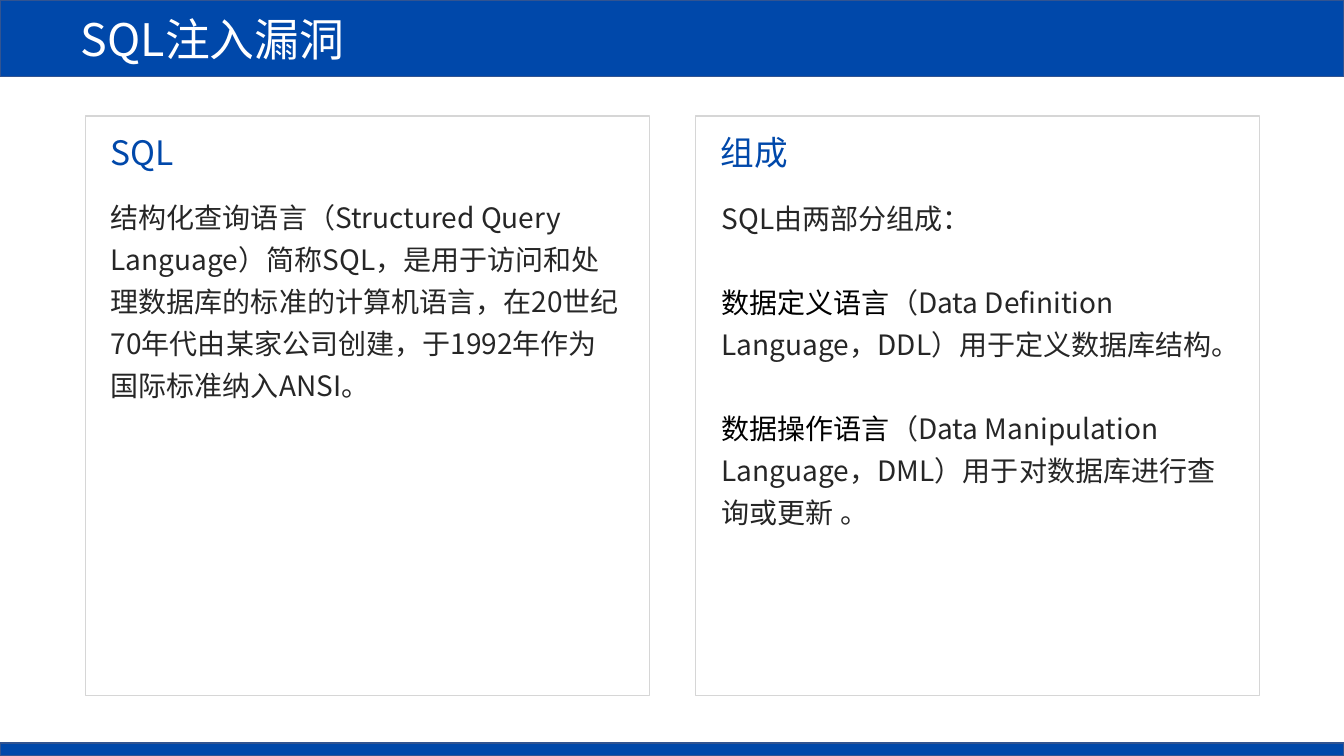
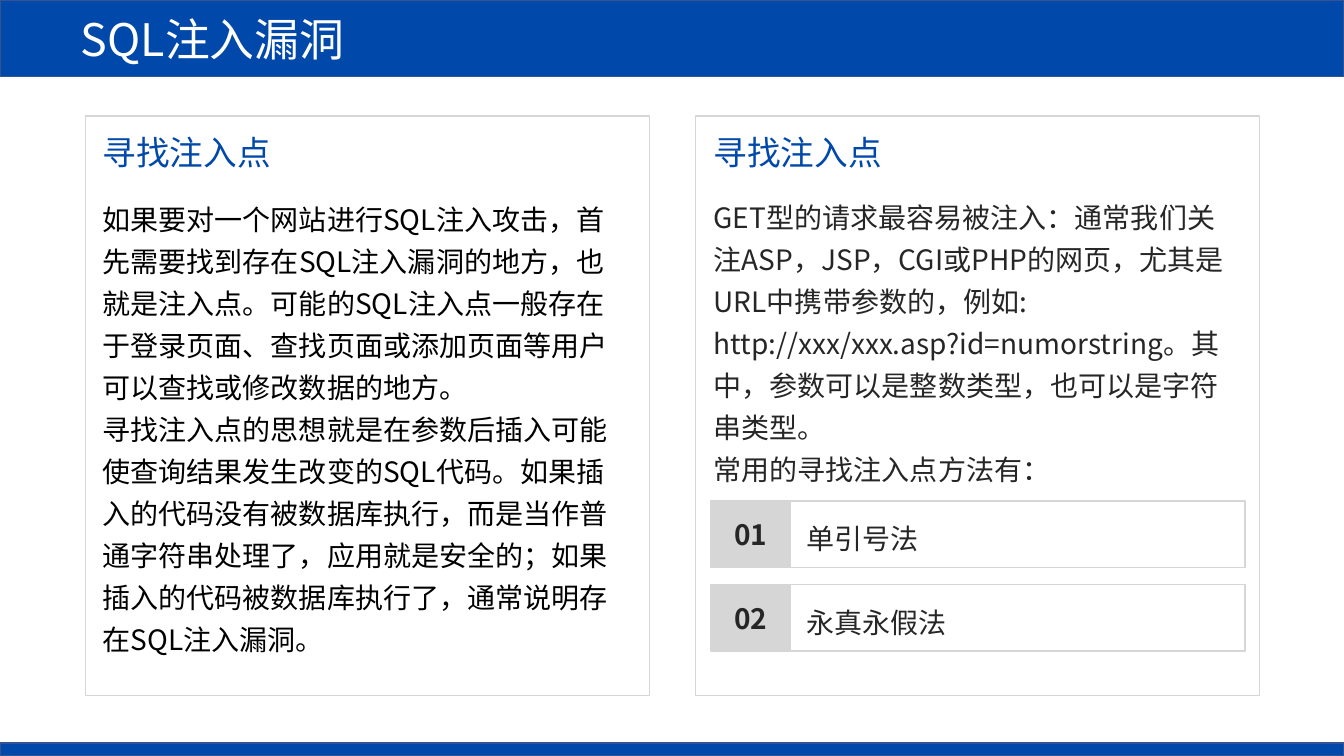
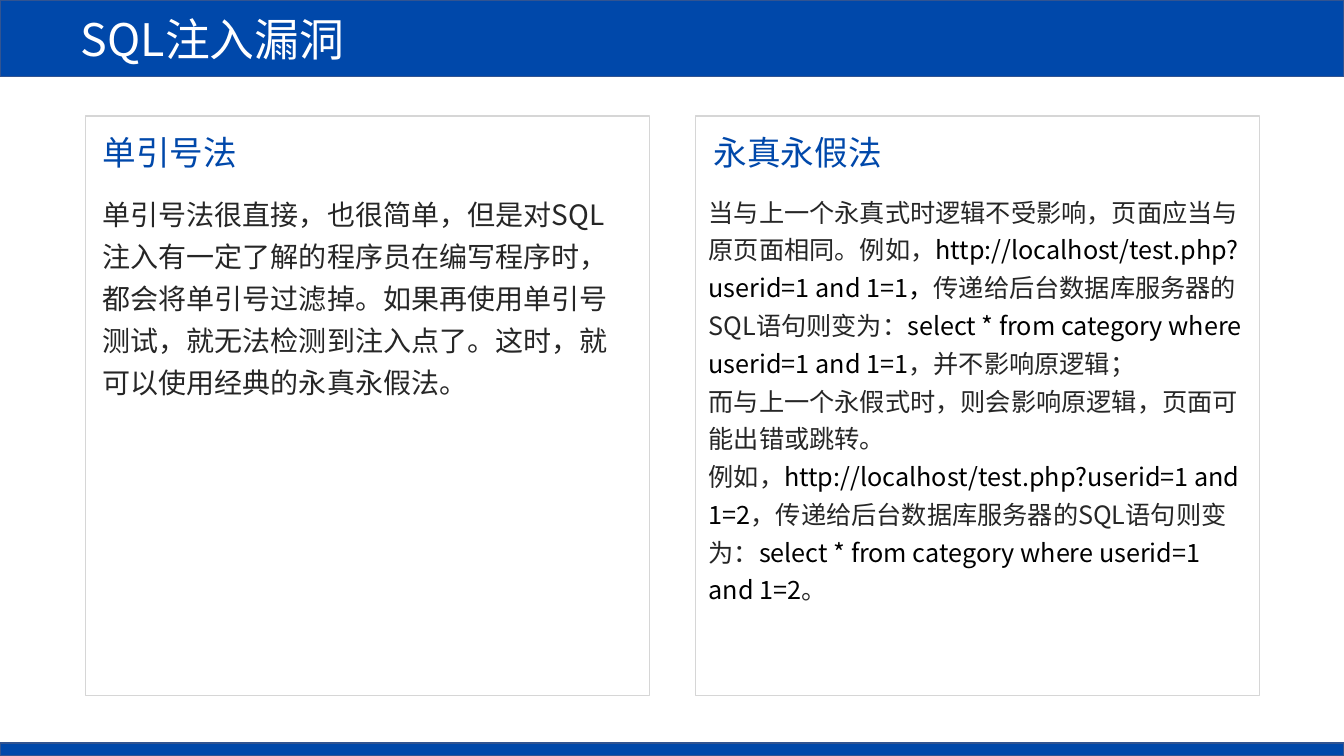
"""Build three slides on SQL injection, each with two framed text panels."""
import pptx
import pptx.util
import pptx.dml.color
import pptx.enum.shapes
import pptx.enum.text
import pptx.oxml.ns
from lxml import etree

Inches = pptx.util.Inches
Pt = pptx.util.Pt

FONT = "Noto Sans CJK SC"
BLUE, EDGE, GREY = "0048AA", "325491", "D6D6D6"
WHITE, BLACK, DARK = "FFFFFF", "000000", "262626"
SLIDE_W, SLIDE_H = 13.33, 7.5
BAND_H, FOOT_H = 0.76, 0.13
LEFT, RIGHT = 0.85, 6.9
PANEL_TOP, PANEL_W, PANEL_H = 1.15, 5.59, 5.75
TITLE = "SQL注入漏洞"


def rgb(value):
    """Turn a hex string into a colour."""
    return pptx.dml.color.RGBColor.from_string(value)


def paint(shape, fill, edge):
    """Give a shape its fill, if any, and a thin outline."""
    if fill:
        shape.fill.solid()
        shape.fill.fore_color.rgb = rgb(fill)
    else:
        shape.fill.background()
    shape.line.color.rgb = rgb(edge)
    shape.line.width = Pt(1)


def add_run(paragraph, text, size, color, bold=False):
    """Append one formatted run to a paragraph."""
    run = paragraph.add_run()
    run.text = text
    font = run.font
    font.size = Pt(size)
    font.bold = bold
    font.color.rgb = rgb(color)
    font.name = FONT
    east_asian = pptx.oxml.ns.qn("a:ea")
    etree.SubElement(font._element, east_asian).set("typeface", FONT)


def add_rect(shapes, left, top, width, height, fill=None, edge=GREY):
    """Draw a flat rectangle."""
    rect = shapes.add_shape(
        pptx.enum.shapes.MSO_SHAPE.RECTANGLE,
        Inches(left), Inches(top), Inches(width), Inches(height))
    rect.shadow.inherit = False
    paint(rect, fill, edge)
    return rect


def add_text(slide, box, paragraphs, size, line_spacing=None, gap=0):
    """Add a wrapping text box from paragraphs of (text, colour) runs."""
    frame = slide.shapes.add_textbox(*map(Inches, box)).text_frame
    frame.word_wrap = True
    frame.auto_size = pptx.enum.text.MSO_AUTO_SIZE.SHAPE_TO_FIT_TEXT
    for index, runs in enumerate(paragraphs):
        paragraph = frame.add_paragraph() if index else frame.paragraphs[0]
        if line_spacing:
            paragraph.line_spacing = line_spacing
        if index and gap:
            paragraph.space_before = Pt(gap)
        for text, color in runs:
            add_run(paragraph, text, size, color)


def add_titled_slide(deck):
    """Add a slide with the title band and the foot band."""
    slide = deck.slides.add_slide(deck.slide_layouts[5])
    title = slide.shapes.title
    title.left, title.top = Inches(0), Inches(0)
    title.width, title.height = Inches(SLIDE_W), Inches(BAND_H)
    paint(title, BLUE, EDGE)
    frame = title.text_frame
    frame.auto_size = pptx.enum.text.MSO_AUTO_SIZE.NONE
    frame.vertical_anchor = pptx.enum.text.MSO_ANCHOR.MIDDLE
    frame.margin_left = Inches(0.8)
    paragraph = frame.paragraphs[0]
    paragraph.alignment = pptx.enum.text.PP_ALIGN.LEFT
    add_run(paragraph, TITLE, 32, WHITE)
    add_rect(slide.shapes, 0, SLIDE_H - FOOT_H, SLIDE_W, FOOT_H, BLUE, EDGE)
    return slide


def add_panel(slide, left, heading, inset, body_box, body, size=20, gap=0):
    """Add a framed panel with a blue heading and body text."""
    add_rect(slide.shapes, left, PANEL_TOP, PANEL_W, PANEL_H)
    add_text(slide, (left + inset, 1.26, 5.28, 0.5), [[(heading, BLUE)]], 24)
    add_text(slide, body_box, body, size, 1.25, gap)


def add_method(slide, top, number, label):
    """Add a numbered row made of a grey tab and a framed label."""
    left, tab_w, label_w, height = 7.05, 0.79, 4.51, 0.66
    row = slide.shapes.add_group_shape().shapes
    tab = add_rect(row, left, top, tab_w, height, GREY)
    field = add_rect(row, left + tab_w, top, label_w, height)
    field.text_frame.margin_left = Inches(0.16)
    for cell, text, align, bold in (
            (tab, number, pptx.enum.text.PP_ALIGN.CENTER, True),
            (field, label, pptx.enum.text.PP_ALIGN.LEFT, False)):
        cell.text_frame.vertical_anchor = pptx.enum.text.MSO_ANCHOR.MIDDLE
        paragraph = cell.text_frame.paragraphs[0]
        paragraph.alignment = align
        if not bold:
            paragraph.line_spacing = 1.25
        add_run(paragraph, text, 20, DARK, bold)


def build_language_slide(deck):
    """Introduce SQL and its two parts."""
    slide = add_titled_slide(deck)
    add_panel(slide, LEFT, "SQL", 0.15, (1, 1.86, 5.28, 2.17), [[(
        "结构化查询语言（Structured Query Language）简称SQL，是用于访问和处理"
        "数据库的标准的计算机语言，在20世纪70年代由某家公司创建，于1992年作为"
        "国际标准纳入ANSI。", DARK)]])
    add_panel(slide, RIGHT, "组成", 0.15, (7.06, 1.87, 5.28, 3.43), [
        [("SQL由两部分组成：", DARK)],
        [("数据定义语言", BLACK),
         ("（Data Definition Language，DDL）用于定义数据库结构。", DARK)],
        [("数据操作语言", BLACK),
         ("（Data Manipulation Language，DML）用于对数据库进行查询或更新 。",
          DARK)],
    ], gap=30)


def build_search_slide(deck):
    """Explain how injection points are found."""
    slide = add_titled_slide(deck)
    heading = "寻找注入点"
    add_panel(slide, LEFT, heading, 0.07, (0.92, 1.88, 5.43, 4.69), [
        [("如果要对一个网站进行SQL注入攻击，首先需要找到存在SQL注入漏洞的地方，"
          "也就是注入点。可能的SQL注入点一般存在于登录页面、查找页面或添加页面等"
          "用户可以查找或修改数据的地方。", BLACK)],
        [("寻找注入点的思想就是在参数后插入可能使查询结果发生改变的SQL代码。"
          "如果插入的代码没有被数据库执行，而是当作普通字符串处理了，应用就是"
          "安全的；如果插入的代码被数据库执行了，通常说明存在SQL注入漏洞。",
          BLACK)],
    ])
    add_panel(slide, RIGHT, heading, 0.08, (6.98, 1.86, 5.43, 3.01), [
        [("GET型的请求最容易被注入：通常我们关注ASP，JSP，CGI或PHP的网页，"
          "尤其是URL中携带参数的，例如: http://xxx/xxx.asp?id=numorstring。"
          "其中，参数可以是整数类型，也可以是字符串类型。", DARK)],
        [("常用的寻找注入点方法有：", DARK)],
    ])
    for index, label in enumerate(("单引号法", "永真永假法")):
        add_method(slide, 4.97 + 0.83 * index, f"{index + 1:02}", label)


def build_methods_slide(deck):
    """Compare the single-quote and the true/false methods."""
    slide = add_titled_slide(deck)
    add_panel(slide, LEFT, "单引号法", 0.07, (0.92, 1.83, 5.43, 2.17), [[(
        "单引号法很直接，也很简单，但是对SQL注入有一定了解的程序员在编写程序时，"
        "都会将单引号过滤掉。如果再使用单引号测试，就无法检测到注入点了。这时，"
        "就可以使用经典的永真永假法。", DARK)]])
    add_panel(slide, RIGHT, "永真永假法", 0.08, (6.93, 1.83, 5.58, 4.61), [
        [("当与上一个永真式时逻辑不受影响，页面应当与原页面相同。例如，", DARK),
         ("http://localhost/test.php?userid=1 and 1=1，", BLACK),
         ("传递给后台数据库服务器的SQL语句则变为：", DARK),
         ("select * from category where userid=1 and 1=1", BLACK),
         ("，并不影响原逻辑；", DARK)],
        [("而与上一个永假式时，则会影响原逻辑，页面可能出错或跳转。", DARK)],
        [("例如，", DARK),
         ("http://localhost/test.php?userid=1 and 1=2", BLACK),
         ("，传递给后台数据库服务器的SQL语句则变为：", DARK),
         ("select * from category where userid=1 and 1=2", BLACK),
         ("。", DARK)],
    ], size=18)


def main():
    """Build and save the deck."""
    deck = pptx.Presentation()
    deck.slide_width, deck.slide_height = Inches(SLIDE_W), Inches(SLIDE_H)
    build_language_slide(deck)
    build_search_slide(deck)
    build_methods_slide(deck)
    deck.save("out.pptx")


if __name__ == "__main__":
    main()
